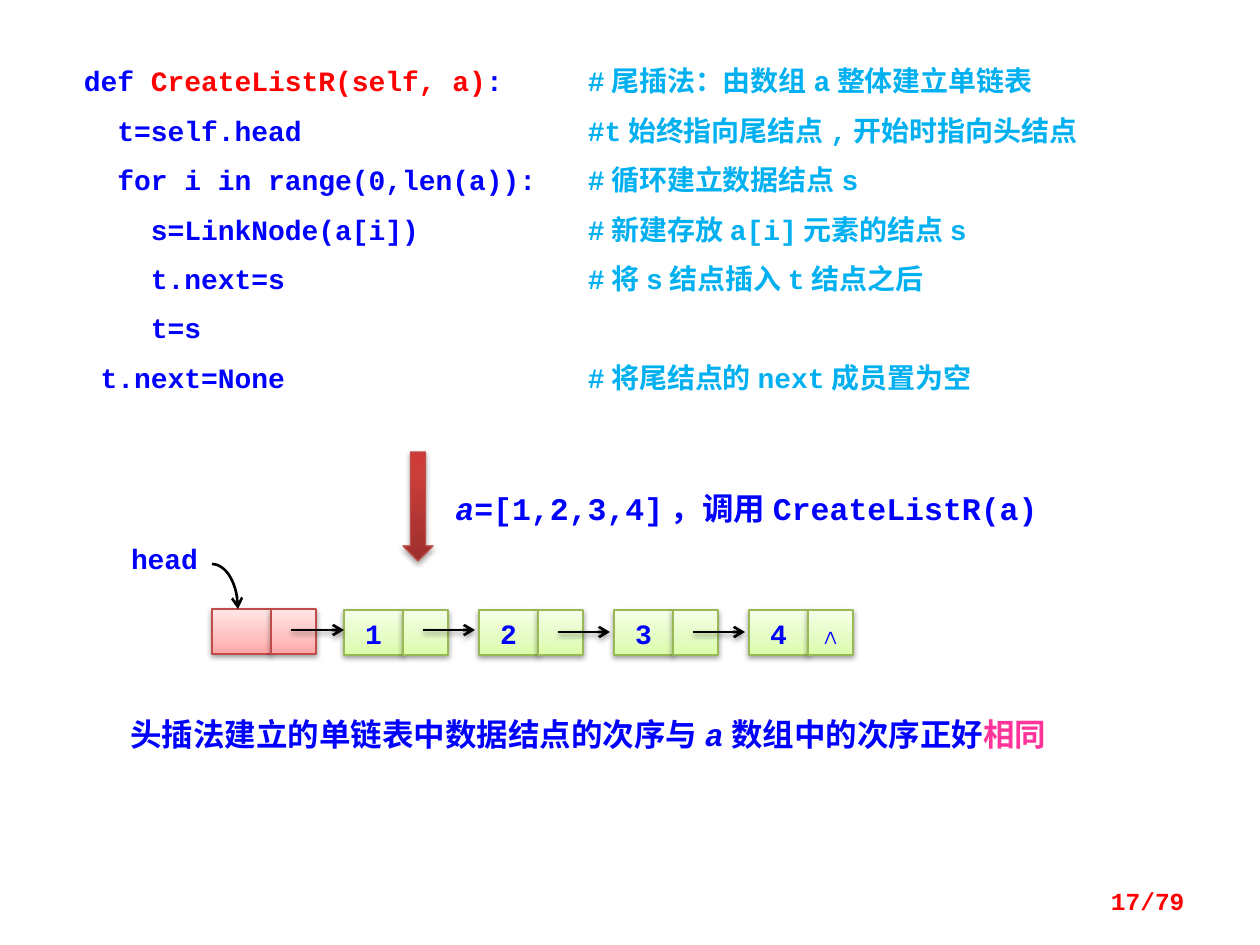
"""Build the slide on creating a linked list by tail insertion."""
from copy import deepcopy
from math import cos, pi, sin

from pptx import Presentation
from pptx.dml.color import RGBColor
from pptx.enum.shapes import MSO_CONNECTOR, MSO_SHAPE
from pptx.enum.text import MSO_ANCHOR, PP_ALIGN
from pptx.oxml import parse_xml
from pptx.oxml.ns import nsdecls, qn
from pptx.util import Pt

PX = 914400 / 126
FONT = "Courier New"
COLORS = {
    "code": "0000FF", "name": "FF0000", "comment": "00B0F0", "accent": "FF3399",
    "white": "FFFFFF", "black": "000000",
}
GRADIENTS = {
    "head": ("BF4C48", [(0, "FFA6A5"), (0.35, "FFC0BF"), (1, "FFE7E7")]),
    "data": ("98B955", [(0, "DAFDA7"), (0.35, "E4FCC2"), (1, "F5FFE7")]),
    "step": ("BF4C48", [(0, "9C2F2D"), (0.8, "CB3E3A"), (1, "CE3B37")]),
}
CODE = [
    ([("def ", "code"), ("CreateListR(self, a)", "name"), (":", "code")],
     "#尾插法：由数组a整体建立单链表"),
    ([("  t=self.head", "code")], "#t始终指向尾结点,开始时指向头结点"),
    ([("  for i in range(0,len(a)):", "code")], "#循环建立数据结点s"),
    ([("    s=LinkNode(a[i])", "code")], "#新建存放a[i]元素的结点s"),
    ([("    t.next=s", "code")], "#将s结点插入t结点之后"),
    ([("    t=s", "code")], ""),
    ([(" t.next=None", "code")], "#将尾结点的next成员置为空"),
]
CALL = [("a", "code", True), ("=[1,2,3,4]，调用CreateListR(a)", "code")]
SUMMARY = [
    ("头插法建立的单链表中数据结点的次序与", "code"), ("a", "code", True),
    ("数组中的次序正好", "code"), ("相同", "accent"),
]
NODES = [("1", ""), ("2", ""), ("3", ""), ("4", "∧")]
LINKS = [(291, 344, 630), (423, 475, 630), (558, 610, 632), (693, 745, 632)]
HEAD_X, HEAD_Y = 212, 609
DATA_X, DATA_Y, NODE_PITCH = 344, 610, 135
VALUE_W, NEXT_W, CELL_H = 59, 45, 45
COMMENT_TAB = 504


def emu(px):
    return round(px * PX)


def color(key):
    return RGBColor.from_string(COLORS[key])


def add_spans(para, spans, size):
    for text, key, *italic in spans:
        span = para.add_run()
        span.text = text
        font = span.font
        font.name, font.size, font.bold = FONT, Pt(size), True
        font.color.rgb = color(key)
        if italic:
            font.italic = True


def set_insets(frame, left, top, right, bottom):
    frame.margin_left, frame.margin_top = emu(left), emu(top)
    frame.margin_right, frame.margin_bottom = emu(right), emu(bottom)


def add_text(page, area, spans, size, align=PP_ALIGN.LEFT):
    box = page.shapes.add_textbox(*map(emu, area))
    box.text_frame.word_wrap = True
    para = box.text_frame.paragraphs[0]
    para.alignment = align
    add_spans(para, spans, size)
    return box


def add_shadow(shape, alpha=38, distance=20000):
    shape._element.spPr.append(parse_xml(
        f'<a:effectLst {nsdecls("a")}><a:outerShdw blurRad="40000" dist="{distance}" '
        f'dir="5400000" rotWithShape="0"><a:srgbClr val="000000">'
        f'<a:alpha val="{alpha * 1000}"/></a:srgbClr></a:outerShdw></a:effectLst>'))


def add_arrowhead(shape):
    shape.line.color.rgb = color("black")
    shape.line.width = Pt(1.5)
    shape.line._get_or_add_ln().append(
        parse_xml(f'<a:tailEnd {nsdecls("a")} type="arrow"/>'))


def add_gradient_shape(page, kind, area, style, **shadow):
    shape = page.shapes.add_shape(kind, *map(emu, area))
    line_color, stops = GRADIENTS[style]
    shape.fill.gradient()
    shape.fill.gradient_angle = 90
    stop_list = shape._element.spPr.find(".//" + qn("a:gsLst"))
    stop_list.insert(1, deepcopy(stop_list[0]))
    for stop, (position, value) in zip(shape.fill.gradient_stops, stops):
        stop.position = position
        stop.color.rgb = RGBColor.from_string(value)
    shape.line.color.rgb = RGBColor.from_string(line_color)
    shape.line.width = Pt(0.75)
    add_shadow(shape, **shadow)
    return shape


def add_node(page, left, top, style, texts):
    for x, width, text in zip((left, left + VALUE_W), (VALUE_W, NEXT_W), texts):
        cell = add_gradient_shape(page, MSO_SHAPE.RECTANGLE, (x, top, width, CELL_H), style)
        if text:
            frame = cell.text_frame
            set_insets(frame, 0, 0, 0, 0)
            frame.vertical_anchor = MSO_ANCHOR.TOP
            para = frame.paragraphs[0]
            para.alignment = PP_ALIGN.CENTER
            para.line_spacing = Pt(23)
            add_spans(para, [(text, "code")], 16)


def add_code(page):
    box = page.shapes.add_textbox(*map(emu, (59, 49, 1131, 369)))
    box.fill.solid()
    box.fill.fore_color.rgb = color("white")
    frame = box.text_frame
    frame.word_wrap = True
    set_insets(frame, 25, 15, 13, 15)
    for row, (spans, comment) in enumerate(CODE):
        para = frame.add_paragraph() if row else frame.paragraphs[0]
        para._p.get_or_add_pPr().append(parse_xml(
            f'<a:tabLst {nsdecls("a")}><a:tab pos="{emu(COMMENT_TAB)}" algn="l"/></a:tabLst>'))
        if row:
            para.space_before = Pt(9)
        add_spans(para, spans, 16)
        if comment:
            add_spans(para, [("\t" + comment, "comment")], 16)


def add_head_pointer(page):
    label = add_text(page, (118, 542, 93, 37), [("head", "code")], 16, PP_ALIGN.CENTER)
    set_insets(label.text_frame, 0, 0, 0, 0)
    steps, width, height = 16, 26, 45
    angles = [pi / 2 * step / steps for step in range(steps + 1)]
    points = [(emu(HEAD_X + width * sin(angle)), emu(HEAD_Y - height * cos(angle)))
              for angle in angles]
    builder = page.shapes.build_freeform(*points[0])
    builder.add_line_segments(points[1:], close=False)
    curve = builder.convert_to_shape()
    curve.fill.background()
    curve.shadow.inherit = False
    add_arrowhead(curve)


def main():
    deck = Presentation()
    deck.slide_width, deck.slide_height = emu(1260), emu(945)
    page = deck.slides.add_slide(deck.slide_layouts[6])
    add_code(page)
    add_gradient_shape(page, MSO_SHAPE.DOWN_ARROW, (403, 452, 30, 109), "step",
                       alpha=35, distance=23000)
    add_text(page, (443, 483, 699, 50), CALL, 18)
    add_node(page, HEAD_X, HEAD_Y, "head", ("", ""))
    add_head_pointer(page)
    for index, texts in enumerate(NODES):
        add_node(page, DATA_X + index * NODE_PITCH, DATA_Y, "data", texts)
    for start, end, y in LINKS:
        link = page.shapes.add_connector(MSO_CONNECTOR.STRAIGHT, *map(emu, (start, y, end, y)))
        add_arrowhead(link)
        add_shadow(link)
    add_text(page, (118, 709, 965, 50), SUMMARY, 18)
    number = add_text(page, (903, 876, 294, 50), [("17/79", "name")], 14, PP_ALIGN.RIGHT)
    number.text_frame.vertical_anchor = MSO_ANCHOR.MIDDLE
    deck.save("out.pptx")


if __name__ == "__main__":
    main()
